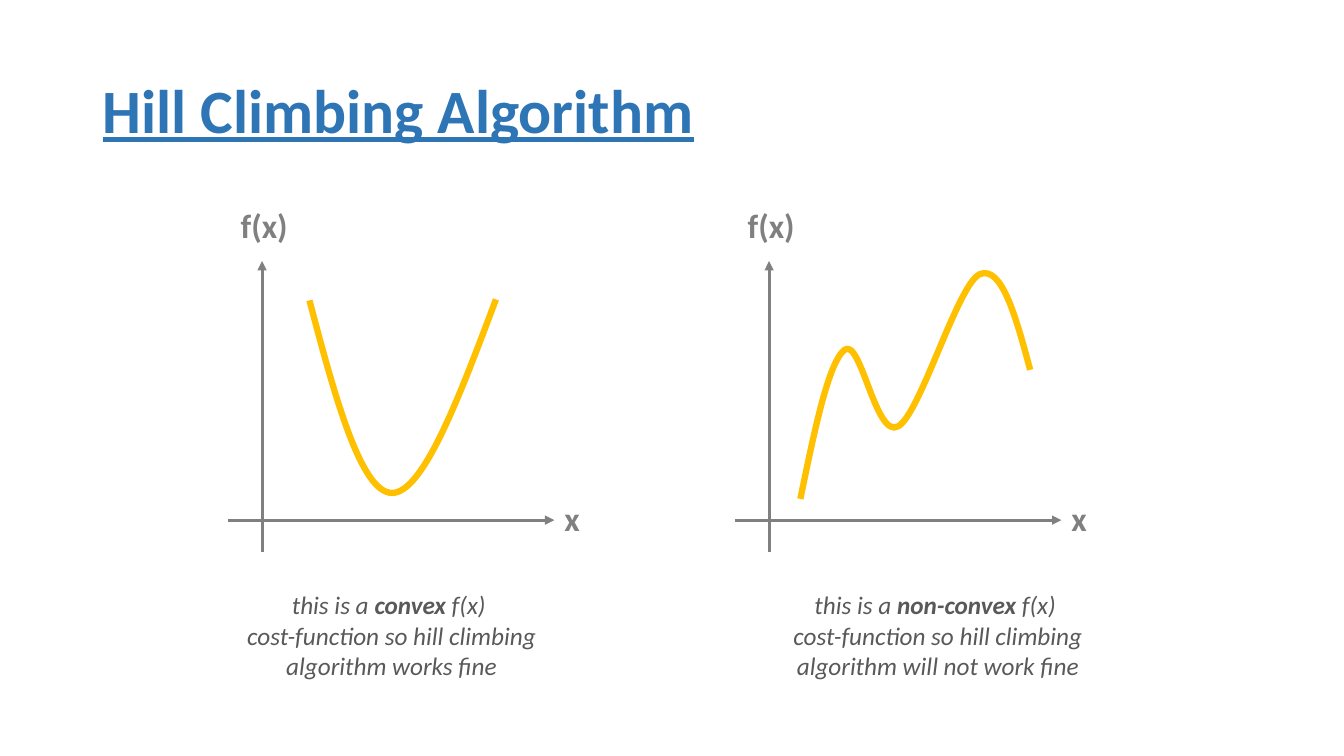
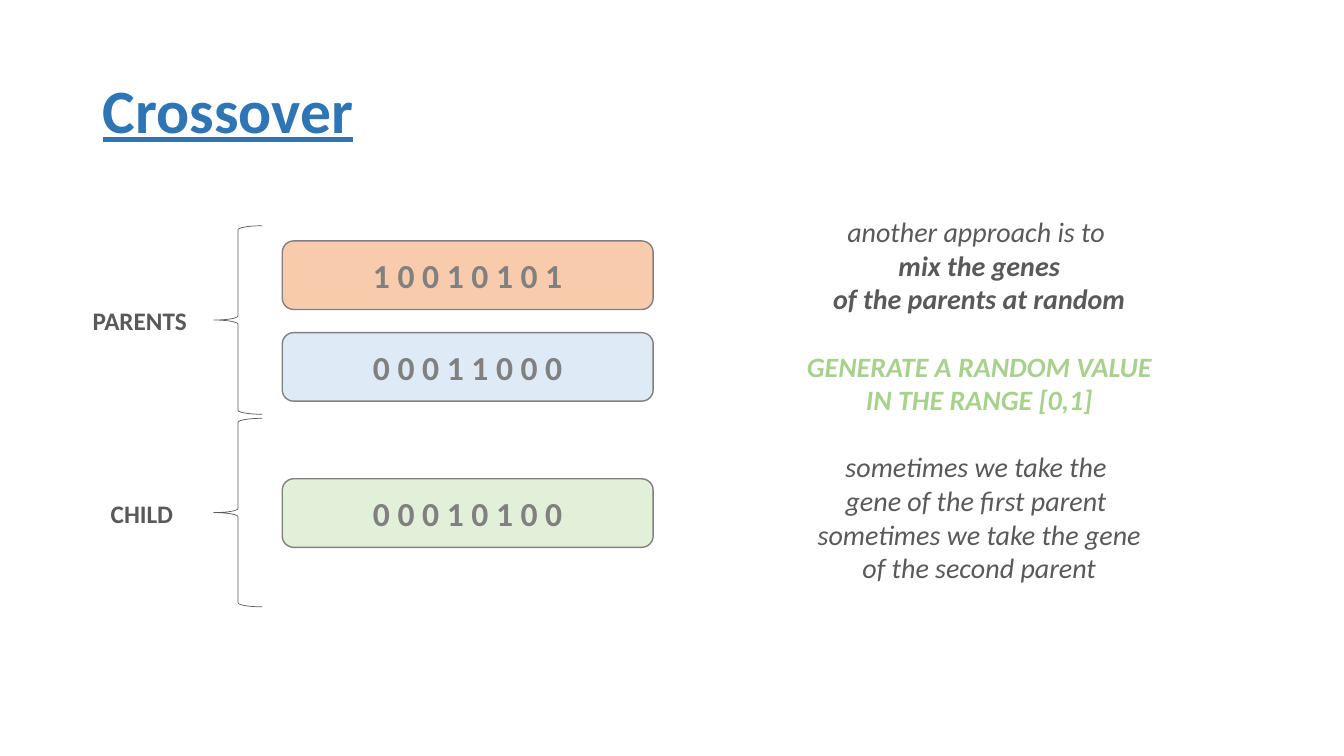
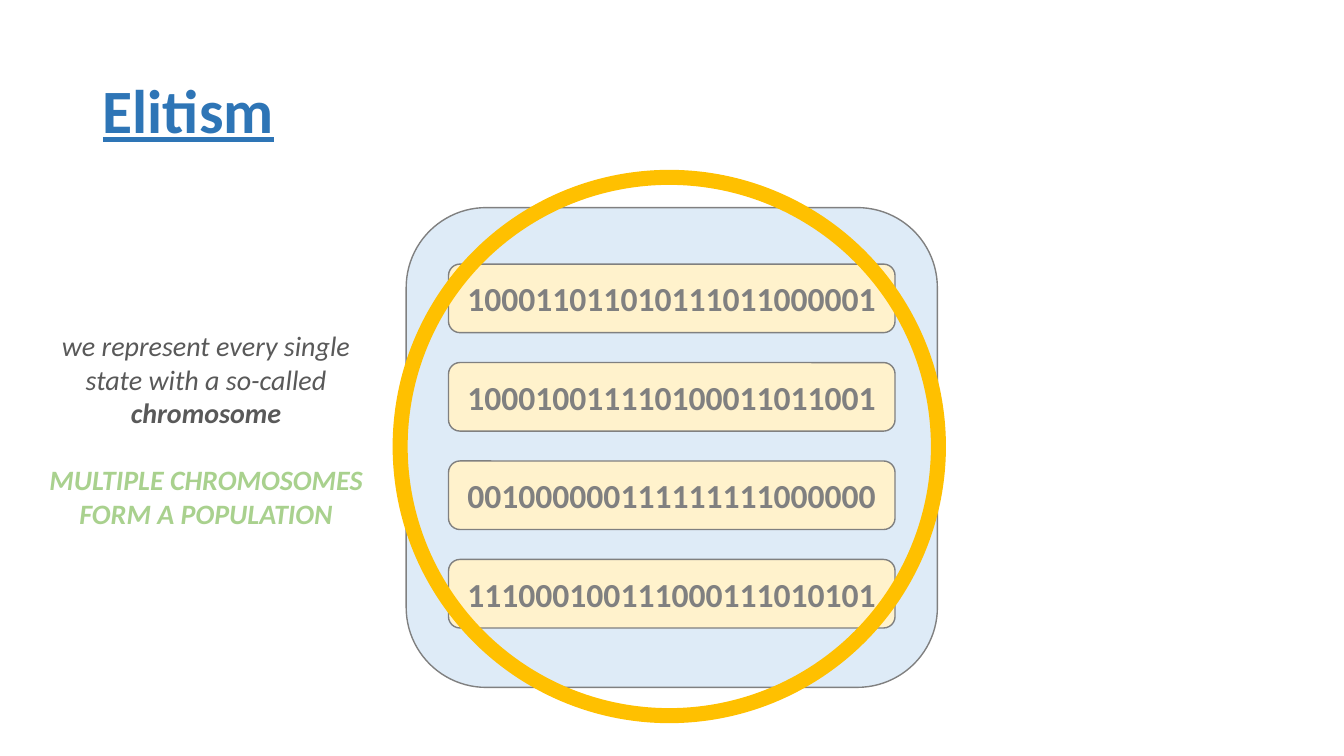
from lxml import etree
from pptx import Presentation
from pptx.dml.color import RGBColor
from pptx.enum.shapes import MSO_CONNECTOR, MSO_SHAPE
from pptx.enum.text import MSO_ANCHOR, MSO_AUTO_SIZE, PP_ALIGN
from pptx.oxml.ns import qn
from pptx.util import Inches, Pt

STRAIGHT = MSO_CONNECTOR.STRAIGHT
ROUNDED, OVAL, BRACE = MSO_SHAPE.ROUNDED_RECTANGLE, MSO_SHAPE.OVAL, MSO_SHAPE.RIGHT_BRACE
LEFT, CENTER = PP_ALIGN.LEFT, PP_ALIGN.CENTER
MIDDLE = MSO_ANCHOR.MIDDLE

FONT = "Calibri"
TITLE_ONLY = 5
COLORS = {
    "title": "2E75B6", "gray": "808080", "dark": "595959", "gold": "FFC000",
    "lime": "A9D18E", "orange": "F8CBAD", "blue": "DEEBF7", "green": "E2F0D9",
    "cream": "FFF2CC",
}

# Text lines are (text, colour, starts a new group); *stars* mark bold words.
# Curves are a start point followed by cubic Bezier segments.
PLOT_PITCH = 5.03
PLOTS = [
    {
        "caption": [("this is a *convex* f(x) ", "dark", False),
                    ("cost-function so hill climbing", "dark", False),
                    ("algorithm works fine", "dark", False)],
        "caption_left": 2.33,
        "start": (3.07, 2.98),
        "curve": [((3.32, 3.93), (3.58, 4.89), (3.89, 4.89)),
                  ((4.2, 4.89), (4.56, 3.93), (4.92, 2.97))],
    },
    {
        "caption": [("this is a *non-convex* f(x) ", "dark", False),
                    ("cost-function so hill climbing", "dark", False),
                    ("algorithm will not work fine", "dark", False)],
        "caption_left": 7.75,
        "start": (7.94, 4.95),
        "curve": [((8.08, 4.27), (8.22, 3.59), (8.38, 3.47)),
                  ((8.54, 3.35), (8.69, 4.36), (8.91, 4.23)),
                  ((9.13, 4.11), (9.5, 2.82), (9.72, 2.72)),
                  ((9.94, 2.63), (10.08, 3.15), (10.22, 3.67))],
    },
]

GENES = [("1 0 0 1 0 1 0 1", "orange", 2.39),
         ("0 0 0 1 1 0 0 0", "blue", 3.3),
         ("0 0 0 1 0 1 0 0", "green", 4.75)]
GENERATIONS = [("PARENTS", 2.24, (0.82, 2.98, 1.15, 0.4)),
               ("CHILD", 4.15, (1, 4.89, 0.83, 0.4))]
CROSSOVER_NOTES = [
    ("another approach is to ", "dark", False),
    ("*mix the genes*", "dark", False),
    ("*of the parents at random*", "dark", False),
    ("*GENERATE A RANDOM VALUE*", "lime", True),
    ("*IN THE RANGE [0,1]*", "lime", False),
    ("sometimes we take the ", "dark", True),
    ("gene of the first parent ", "dark", False),
    ("sometimes we take the gene", "dark", False),
    ("of the second parent", "dark", False),
]

CHROMOSOMES = ["100011011010111011000001", "100010011110100011011001",
               "001000000111111111000000", "111000100111000111010101"]
FIRST_TOP, LAST_TOP = 2.62, 5.55
ELITISM_NOTES = [
    ("we represent every single", "dark", False),
    ("state with a so-called", "dark", False),
    ("*chromosome*", "dark", False),
    ("*MULTIPLE CHROMOSOMES*", "lime", True),
    ("*FORM A POPULATION*", "lime", False),
]


def rgb(name):
    return RGBColor.from_string(COLORS[name])


def inches(*lengths):
    return [Inches(length) for length in lengths]


def style(paragraph, size, color, bold=None, italic=None, align=LEFT):
    font = paragraph.font
    font.name, font.size, font.bold, font.italic = FONT, Pt(size), bold, italic
    font.color.rgb = rgb(color)
    paragraph.alignment = align


def add_titled_slide(prs, heading):
    slide = prs.slides.add_slide(prs.slide_layouts[TITLE_ONLY])
    title = slide.shapes.title
    title.left, title.top, title.width, title.height = inches(0.92, 0.4, 11.5, 1.45)
    title.text_frame.text = heading
    title.text_frame.vertical_anchor = MIDDLE
    paragraph = title.text_frame.paragraphs[0]
    style(paragraph, 44, "title", bold=True)
    paragraph.font.underline = True
    paragraph.line_spacing = 0.9
    return slide


def add_text_frame(slide, box):
    frame = slide.shapes.add_textbox(*inches(*box)).text_frame
    frame.word_wrap = False
    frame.auto_size = MSO_AUTO_SIZE.SHAPE_TO_FIT_TEXT
    return frame


def add_label(slide, text, box, size, color):
    frame = add_text_frame(slide, box)
    frame.text = text
    style(frame.paragraphs[0], size, color, bold=True)


def add_notes(slide, lines, box, size):
    """Add centred italic lines; a new group is set off by one line's height."""
    frame = add_text_frame(slide, box)
    for index, (text, color, new_group) in enumerate(lines):
        paragraph = frame.add_paragraph() if index else frame.paragraphs[0]
        style(paragraph, size, color, italic=True, align=CENTER)
        if new_group:
            paragraph.space_before = Pt(size * 1.2)
        for part, words in enumerate(text.split("*")):
            if words:
                run = paragraph.add_run()
                run.text = words
                run.font.bold = part % 2 == 1


def add_outlined(slide, kind, box, line, width, fill=None):
    shape = slide.shapes.add_shape(kind, *inches(*box))
    shape.shadow.inherit = False
    shape.line.color.rgb = rgb(line)
    shape.line.width = Pt(width)
    if fill:
        shape.fill.solid()
        shape.fill.fore_color.rgb = rgb(fill)
    else:
        shape.fill.background()
    return shape


def add_gene_bar(slide, bits, box, fill):
    frame = add_outlined(slide, ROUNDED, box, "gray", 1, fill).text_frame
    frame.text = bits
    frame.vertical_anchor = MIDDLE
    style(frame.paragraphs[0], 24, "gray", bold=True, align=CENTER)


def add_axis(slide, start, end):
    axis = slide.shapes.add_connector(STRAIGHT, *inches(*start, *end))
    axis.line.color.rgb = rgb("gray")
    axis.line.width = Pt(2.25)
    properties = axis._element.spPr
    etree.SubElement(properties.find(qn("a:ln")), qn("a:tailEnd"), type="triangle")
    etree.SubElement(properties, qn("a:effectLst"))


def add_curve(slide, start, segments):
    """Draw a freeform through the segment ends, then bend each line into a cubic."""
    builder = slide.shapes.build_freeform(*inches(*start))
    builder.add_line_segments([inches(*segment[-1]) for segment in segments], close=False)
    curve = builder.convert_to_shape()
    straights = list(curve._element.iter(qn("a:lnTo")))
    for straight, segment in zip(straights, segments):
        cubic = etree.Element(qn("a:cubicBezTo"))
        for x, y in segment:
            etree.SubElement(cubic, qn("a:pt"), x=str(Inches(x) - curve.left),
                             y=str(Inches(y) - curve.top))
        straight.getparent().replace(straight, cubic)
    curve.shadow.inherit = False
    curve.fill.background()
    curve.line.color.rgb = rgb("gold")
    curve.line.width = Pt(4.5)


def build_hill_climbing(prs):
    slide = add_titled_slide(prs, "Hill Climbing Algorithm")
    for index, plot in enumerate(PLOTS):
        dx = index * PLOT_PITCH
        add_axis(slide, (2.6 + dx, 5.48), (2.6 + dx, 2.59))
        add_axis(slide, (2.26 + dx, 5.16), (5.5 + dx, 5.16))
        add_label(slide, "f(x)", (2.29 + dx, 1.98, 0.67, 0.5), 24, "gray")
        add_label(slide, "x", (5.5 + dx, 4.89, 0.36, 0.5), 24, "gray")
        add_notes(slide, plot["caption"], (plot["caption_left"], 5.8, 3.11, 1.01), 18)
        add_curve(slide, plot["start"], plot["curve"])


def build_crossover(prs):
    slide = add_titled_slide(prs, "Crossover")
    for bits, fill, top in GENES:
        add_gene_bar(slide, bits, (2.8, top, 3.68, 0.68), fill)
    for generation, brace_top, label_box in GENERATIONS:
        brace = add_outlined(slide, BRACE, (2.12, brace_top, 0.48, 1.87), "dark", 0.5)
        brace.rotation = 180
        add_label(slide, generation, label_box, 18, "dark")
    add_notes(slide, CROSSOVER_NOTES, (7.89, 2.08, 3.65, 3.8), 20)


def build_elitism(prs):
    slide = add_titled_slide(prs, "Elitism")
    add_outlined(slide, ROUNDED, (4.03, 2.06, 5.27, 4.76), "gray", 1, "blue")
    pitch = (LAST_TOP - FIRST_TOP) / (len(CHROMOSOMES) - 1)
    for index, bits in enumerate(CHROMOSOMES):
        add_gene_bar(slide, bits, (4.45, FIRST_TOP + index * pitch, 4.43, 0.68), "cream")
    add_outlined(slide, OVAL, (3.97, 1.76, 5.34, 5.34), "gold", 10.75)
    add_notes(slide, ELITISM_NOTES, (0.38, 3.21, 3.33, 2.12), 20)


def main():
    prs = Presentation()
    prs.slide_width, prs.slide_height = inches(40 / 3, 7.5)
    build_hill_climbing(prs)
    build_crossover(prs)
    build_elitism(prs)
    prs.save("out.pptx")


if __name__ == "__main__":
    main()
